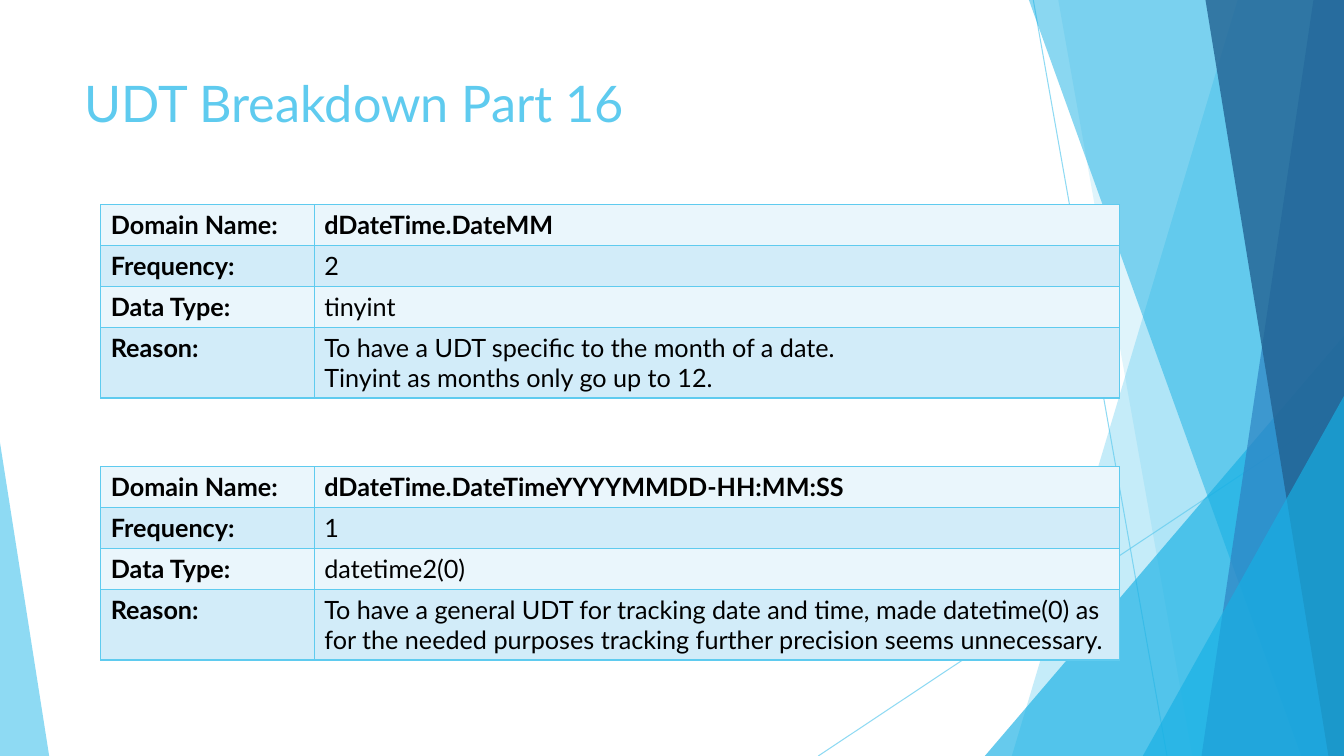
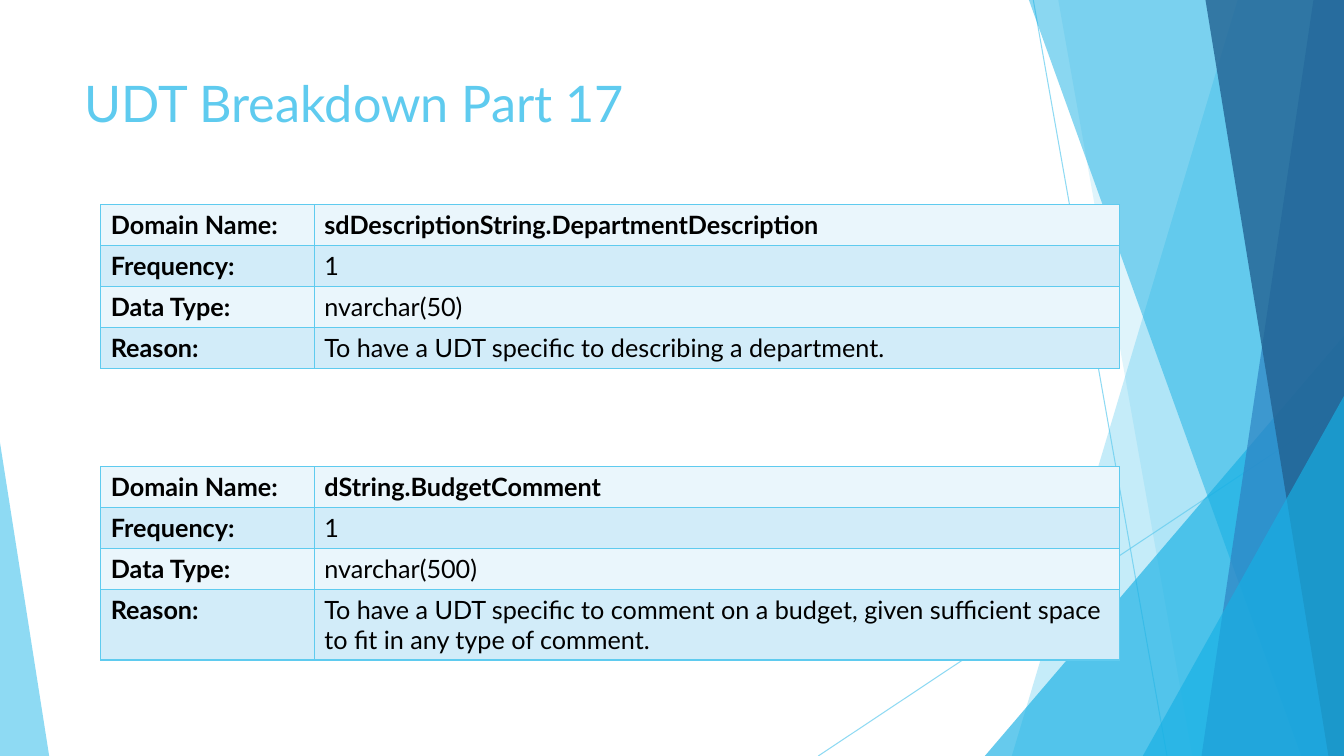
from lxml.etree import SubElement
from pptx import Presentation
from pptx.dml.color import RGBColor
from pptx.enum.shapes import MSO_CONNECTOR, MSO_SHAPE
from pptx.enum.text import MSO_ANCHOR, MSO_AUTO_SIZE, PP_ALIGN
from pptx.oxml.ns import qn
from pptx.util import Cm, Pt

W, H = 33.87, 19.05
FONT = "Lato"
COLORS = {
    "sky": "5FCBEF", "cyan": "17B0E4", "blue": "2E83C3", "navy": "226292",
    "pale": "EAF6FC", "light": "D2ECF9", "text": "000000",
}

LABELS = ["Domain Name:", "Frequency:", "Data Type:", "Reason:"]
SLIDES = [
    ("UDT Breakdown Part 16", [
        ("dDateTime.DateMM", "2", "tinyint",
         "To have a UDT specific to the month of a date.\n"
         "Tinyint as months only go up to 12."),
        ("dDateTime.DateTimeYYYYMMDD-HH:MM:SS", "1", "datetime2(0)",
         "To have a general UDT for tracking date and time, made datetime(0) as "
         "for the needed purposes tracking further precision seems unnecessary."),
    ]),
    ("UDT Breakdown Part 17", [
        ("sdDescriptionString.DepartmentDescription", "1", "nvarchar(50)",
         "To have a UDT specific to describing a department."),
        ("dString.BudgetComment", "1", "nvarchar(500)",
         "To have a UDT specific to comment on a budget, given sufficient space "
         "to fit in any type of comment."),
    ]),
]

TABLE_LEFT, TABLE_TOPS = 2.54, (5.16, 11.76)
COLUMNS, ROW_HEIGHT = (5.38, 20.29), 1.03

# Line ends: x1, y1, x2, y2
LINES = [(26.04, 0, 29.41, H), (W, 10.24, 20.62, H)]
# Strips reach the right edge: left x at the top, left x at the bottom
# Triangles stand on the bottom edge: left, top, width, apex position
FACETS = [
    ("strip", (31.19, 25.5), "sky", 36),
    ("strip", (26.67, 30.05), "sky", 20),
    ("triangle", (24.82, 8.46, W - 24.82, 1), "cyan", 66),
    ("strip", (25.93, 32.79), "cyan", 50),
    ("strip", (33.1, 30.28), "blue", 70),
    ("strip", (30.38, 33.48), "navy", 80),
    ("triangle", (28.8, 9.98, W - 28.8, 1), "cyan", 66),
    ("triangle", (0, 11.15, 1.24, 0), "sky", 70),
]


def rgb(name):
    return RGBColor.from_string(COLORS[name])


def set_alpha(shape, percent):
    color = shape.element.spPr.find(".//" + qn("a:srgbClr"))
    SubElement(color, qn("a:alpha"), val=str(percent * 1000))


def write(tf, text, size=18, color="text", bold=False):
    p = tf.paragraphs[0]
    p.text = text
    p.alignment = PP_ALIGN.LEFT
    for r in p.runs:
        r.font.name, r.font.size, r.font.bold = FONT, Pt(size), bold
        r.font.color.rgb = rgb(color)


def add_line(slide, ends):
    line = slide.shapes.add_connector(MSO_CONNECTOR.STRAIGHT, *map(Cm, ends))
    line.line.color.rgb = rgb("sky")
    line.line.width = Pt(0.75)
    set_alpha(line, 70)
    SubElement(line.element.spPr, qn("a:effectLst"))


def add_strip(slide, top_x, bottom_x):
    outline = slide.shapes.build_freeform(Cm(top_x), 0)
    corners = [(W, 0), (W, H), (bottom_x, H)]
    outline.add_line_segments([(Cm(x), Cm(y)) for x, y in corners])
    return outline.convert_to_shape()


def add_triangle(slide, left, top, width, apex):
    sp = slide.shapes.add_shape(MSO_SHAPE.ISOSCELES_TRIANGLE, Cm(left), Cm(top),
                                Cm(width), Cm(H - top))
    sp.adjustments[0] = apex
    return sp


def add_background(slide, layout):
    """Draw the facets on the slide, then hand them to its layout."""
    for ends in LINES:
        add_line(slide, ends)
    makers = {"strip": add_strip, "triangle": add_triangle}
    for kind, geometry, color, alpha in FACETS:
        sp = makers[kind](slide, *geometry)
        sp.shadow.inherit = False
        sp.fill.solid()
        sp.fill.fore_color.rgb = rgb(color)
        sp.line.fill.background()
        set_alpha(sp, alpha)
    for ph in list(layout.placeholders)[1:]:
        layout.shapes.element.remove(ph.element)
    for sp in list(slide.shapes):
        if not sp.is_placeholder:
            layout.shapes.element.append(sp.element)


def add_title(slide, text):
    title = slide.shapes.title
    title.left, title.top, title.width, title.height = map(Cm, (1.88, 1.7, 23.88, 3.12))
    tf = title.text_frame
    tf.word_wrap = True
    tf.auto_size = MSO_AUTO_SIZE.NONE
    tf.vertical_anchor = MSO_ANCHOR.TOP
    write(tf, text, size=36, color="sky")


def format_cell(cell, fill):
    tcPr = cell._tc.get_or_add_tcPr()
    for side in ("lnL", "lnR", "lnT", "lnB"):
        ln = SubElement(tcPr, qn("a:" + side), w=str(Pt(1)))
        SubElement(SubElement(ln, qn("a:solidFill")), qn("a:srgbClr"), val=COLORS["sky"])
    cell.fill.solid()
    cell.fill.fore_color.rgb = rgb(fill)


def add_domain_table(slide, top, values):
    table = slide.shapes.add_table(
        len(LABELS), len(COLUMNS), Cm(TABLE_LEFT), Cm(top),
        Cm(sum(COLUMNS)), Cm(ROW_HEIGHT * len(LABELS))).table
    table.first_row = table.horz_banding = False
    for column, width in zip(table.columns, COLUMNS):
        column.width = Cm(width)
    for i, texts in enumerate(zip(LABELS, values)):
        table.rows[i].height = Cm(ROW_HEIGHT)
        for j, text in enumerate(texts):
            cell = table.cell(i, j)
            format_cell(cell, "light" if i % 2 else "pale")
            write(cell.text_frame, text, bold=i == 0 or j == 0)


def main():
    prs = Presentation()
    prs.slide_width, prs.slide_height = Cm(W), Cm(H)
    layout = prs.slide_layouts[5]
    for n, (title, domains) in enumerate(SLIDES):
        slide = prs.slides.add_slide(layout)
        if n == 0:
            add_background(slide, layout)
        add_title(slide, title)
        for top, values in zip(TABLE_TOPS, domains):
            add_domain_table(slide, top, values)
    prs.save("out.pptx")


if __name__ == "__main__":
    main()
